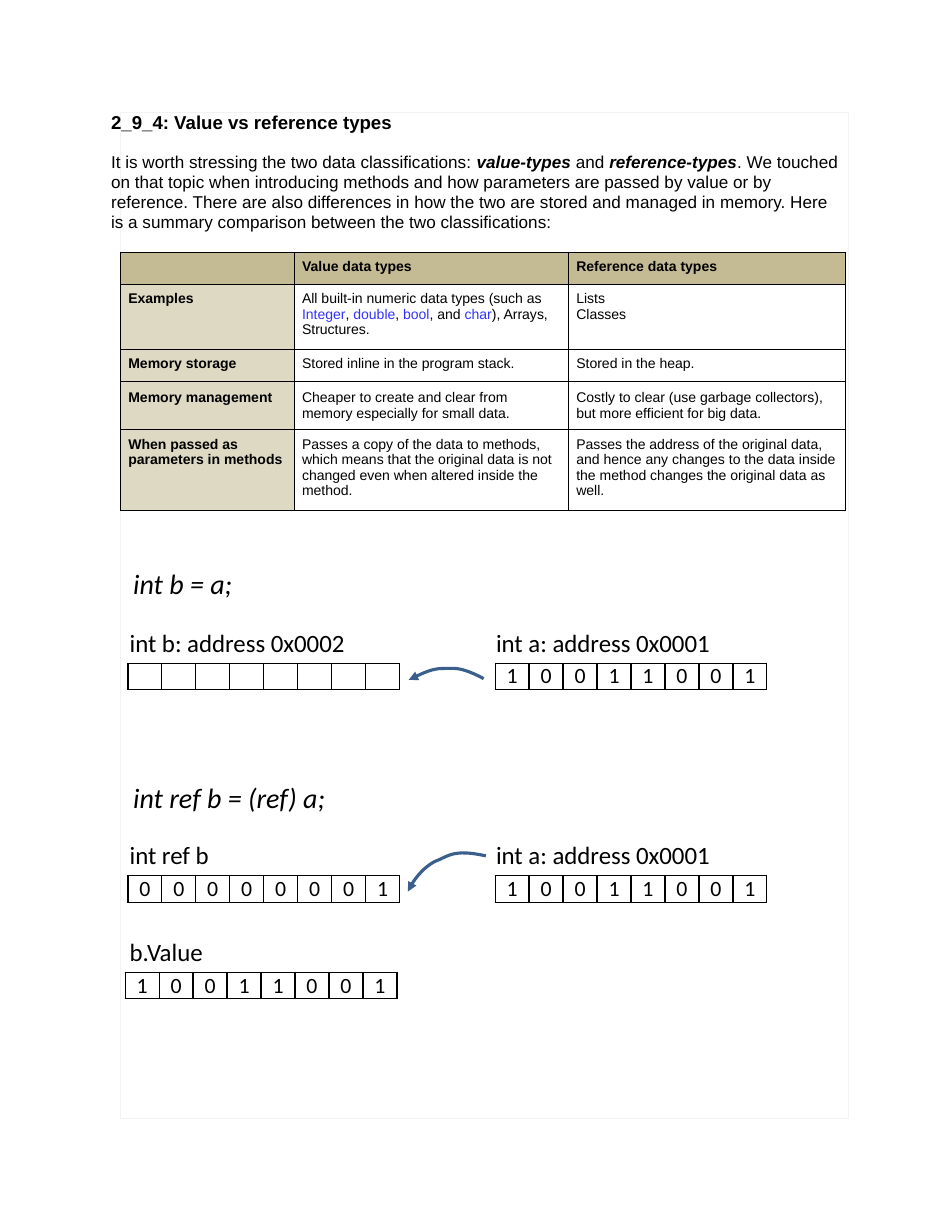
from lxml import etree
from pptx import Presentation
from pptx.dml.color import RGBColor
from pptx.enum.shapes import MSO_SHAPE
from pptx.enum.text import PP_ALIGN
from pptx.oxml.ns import qn
from pptx.util import Cm, Pt

RECT = MSO_SHAPE.RECTANGLE
LEFT, MID = PP_ALIGN.LEFT, PP_ALIGN.CENTER


class Theme:
    sans, code = "Arial", "Calibri"
    black, blue, arrow = "000000", "3333FF", "3A5F8C"
    frame, head, side = "F2F2F2", "C4BB95", "DDD9C3"
    title, body, cell = 12, 11, 9
    line, label, bit = 18, 16, 14


def write(frame, text, font=Theme.code, size=Theme.label, bold=False, italic=False,
          strong=False, tint=Theme.black, lead=1.0, gap=0, align=LEFT):
    for row in text.split("\n"):
        para = frame.add_paragraph() if frame.text else frame.paragraphs[0]
        para.alignment = align
        para.line_spacing = lead
        para.space_before = Pt(gap)
        if not row:
            para._p.get_or_add_endParaRPr().set("sz", str(size * 100))
            continue
        for i, part in enumerate(row.split("|")):
            mark = i % 2 == 1
            run = para.add_run()
            run.text = part
            run.font.name = font
            run.font.size = Pt(size)
            run.font.bold = bold or (mark and strong)
            run.font.italic = italic or (mark and strong)
            run.font.color.rgb = RGBColor.from_string(tint if mark else Theme.black)


def grid(x, y, wides, talls, weight):
    table = slide.shapes.add_table(len(talls), len(wides), Cm(x), Cm(y),
                                   Cm(sum(wides)), Cm(sum(talls))).table
    table.first_row = table.horz_banding = False
    for col, wide in zip(table.columns, wides):
        col.width = Cm(wide)
    for row, tall in zip(table.rows, talls):
        row.height = Cm(tall)
    for cell in table.iter_cells():
        cell.margin_left = cell.margin_right = cell.margin_top = cell.margin_bottom = 0
        props = cell._tc.get_or_add_tcPr()
        for side in ("a:lnL", "a:lnR", "a:lnT", "a:lnB"):
            edge = etree.SubElement(props, qn(side), w=str(Pt(weight)))
            fill = etree.SubElement(edge, qn("a:solidFill"))
            etree.SubElement(fill, qn("a:srgbClr"), val=Theme.black)
        cell.fill.background()
    return table


deck = Presentation()
deck.slide_width, deck.slide_height = Cm(21.59), Cm(27.94)
slide = deck.slides.add_slide(deck.slide_layouts[6])

page = slide.shapes.add_shape(RECT, Cm(2.73), Cm(2.54), Cm(16.51), Cm(22.83))
page.shadow.inherit = False
page.fill.background()
page.line.color.rgb = RGBColor.from_string(Theme.frame)
page.line.width = Pt(0.5)

intro = slide.shapes.add_textbox(Cm(2.52), Cm(2.49), Cm(16.51), Cm(2.82)).text_frame
intro.word_wrap = True
intro.margin_left = intro.margin_right = intro.margin_bottom = 0
intro.margin_top = Cm(0.03)
write(intro, "2_9_4: Value vs reference types", font=Theme.sans, size=Theme.title, bold=True)
write(intro, "It is worth stressing the two data classifications: |value-types| and "
      "|reference-types|. We touched on that topic when introducing methods and how "
      "parameters are passed by value or by reference. There are also differences in how "
      "the two are stored and managed in memory. Here is a summary comparison between "
      "the two classifications:",
      font=Theme.sans, size=Theme.body, strong=True, lead=0.96, gap=12.6)

rows = [
    (0.73, 0.15, 0, 1.0, ["", "Value data types", "Reference data types"]),
    (1.47, 0.17, 0, 0.96, [
        "Examples",
        "All built-in numeric data types (such as |Integer|, |double|, |bool|, and |char|), "
        "Arrays, Structures.",
        "Lists\nClasses"]),
    (0.73, 0.15, 0, 1.0, [
        "Memory storage", "Stored inline in the program stack.", "Stored in the heap."]),
    (1.09, 0.18, 0.4, Pt(10.3), [
        "Memory management",
        "Cheaper to create and clear from memory especially for small data.",
        "Costly to clear (use garbage collectors), but more efficient for big data."]),
    (1.83, 0.19, 0, 0.96, [
        "When passed as parameters in methods",
        "Passes a copy of the data to methods, which means that the original data is not "
        "changed even when altered inside the method.",
        "Passes the address of the original data, and hence any changes to the data inside "
        "the method changes the original data as well."]),
]
pads = [0.2, 0, 0.15]
facts = grid(2.74, 5.72, [3.94, 6.22, 6.27], [row[0] for row in rows], 0.5)
for r, (tall, top, pad, lead, texts) in enumerate(rows):
    for c, text in enumerate(texts):
        cell = facts.cell(r, c)
        cell.margin_left, cell.margin_top = Cm(0.17), Cm(top)
        cell.margin_right = Cm(max(pad, pads[c]))
        if r == 0 or c == 0:
            cell.fill.solid()
            cell.fill.fore_color.rgb = RGBColor.from_string(Theme.side if r else Theme.head)
        write(cell.text_frame, text, font=Theme.sans, size=Theme.cell,
              bold=r == 0 or c == 0, tint=Theme.blue, lead=lead)

words = [
    ("int b = a;", 2.77, 12.73, 3.0, Theme.line),
    ("int ref b = (ref) a;", 2.77, 17.58, 5.26, Theme.line),
    ("int b: address 0x0002", 2.69, 14.1, 5.97, Theme.label),
    ("int a: address 0x0001", 11.0, 14.1, 5.97, Theme.label),
    ("int ref b", 2.69, 18.92, 2.41, Theme.label),
    ("int a: address 0x0001", 11.0, 18.92, 5.97, Theme.label),
    ("b.Value", 2.69, 21.11, 2.44, Theme.label),
]
for text, x, y, wide, size in words:
    frame = slide.shapes.add_textbox(Cm(x), Cm(y), Cm(wide), Cm(0.94)).text_frame
    frame.word_wrap = False
    write(frame, text, size=size, italic=size == Theme.line)

bytes_at = [
    ([""] * 8, 2.9, 15.04),
    ("10011001", 11.23, 15.04),
    ("00000001", 2.9, 19.86),
    ("10011001", 11.23, 19.86),
    ("10011001", 2.84, 22.05),
]
for bits, x, y in bytes_at:
    table = grid(x, y, [0.77] * 8, [0.6], 1)
    for cell, bit in zip(table.iter_cells(), bits):
        write(cell.text_frame, bit, size=Theme.bit, align=MID)

curves = [
    [(10.97, 15.39), (10.44, 15.11), (10.31, 15.16), (10.03, 15.16),
     (9.75, 15.16), (9.45, 15.34), (9.27, 15.42)],
    [(11.02, 19.41), (10.29, 19.25), (10.19, 19.41), (9.88, 19.53),
     (9.6, 19.66), (9.35, 19.99), (9.25, 20.22)],
]
steps = 12
for knots in curves:
    dots = []
    for k in (0, 3):
        for i in range(1, steps + 1):
            t = i / steps
            parts = [(1 - t) ** 3, 3 * t * (1 - t) ** 2, 3 * t * t * (1 - t), t ** 3]
            dots.append([Cm(sum(p * knot[n] for p, knot in zip(parts, knots[k:k + 4])))
                         for n in (0, 1)])
    pen = slide.shapes.build_freeform(Cm(knots[0][0]), Cm(knots[0][1]))
    pen.add_line_segments(dots, close=False)
    arrow = pen.convert_to_shape()
    arrow.shadow.inherit = False
    arrow.fill.background()
    arrow.line.color.rgb = RGBColor.from_string(Theme.arrow)
    arrow.line.width = Pt(2)
    etree.SubElement(arrow.line._get_or_add_ln(), qn("a:tailEnd"), type="triangle")

deck.save("out.pptx")
